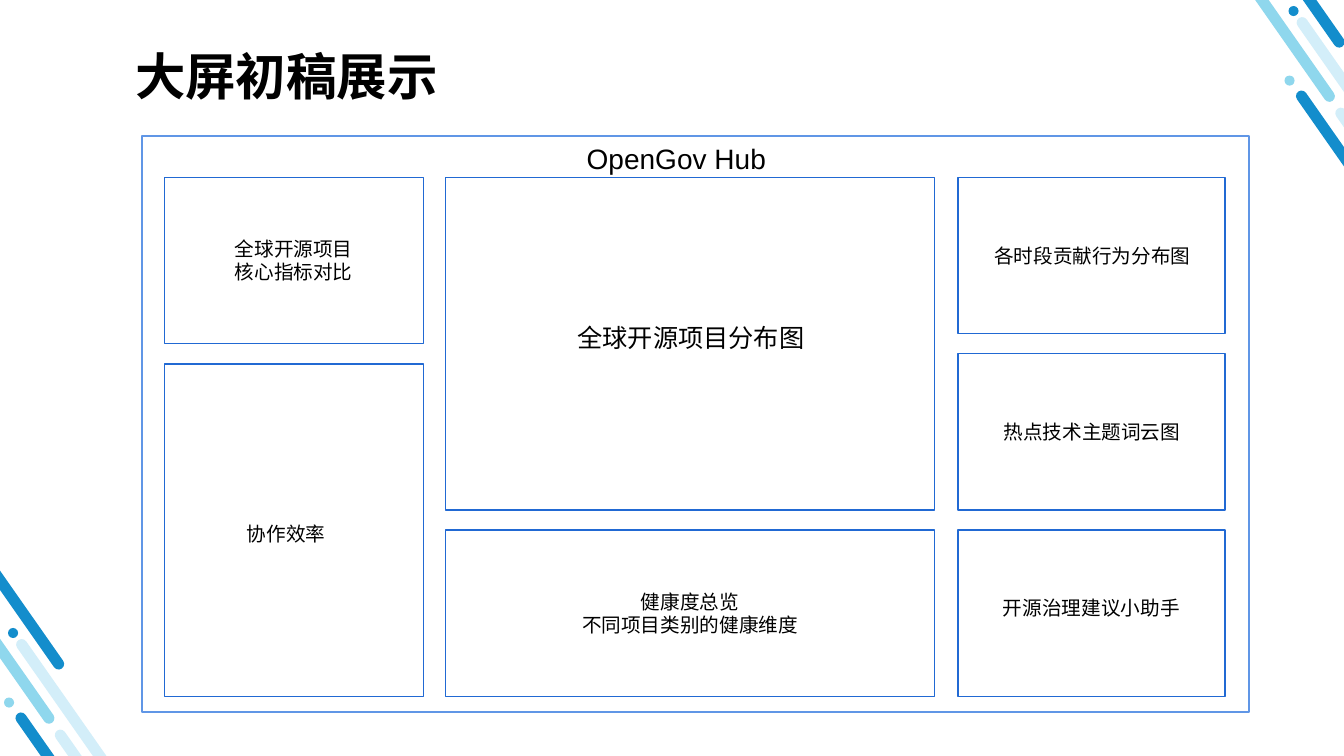
from pptx import Presentation
from pptx.dml.color import RGBColor
from pptx.enum.shapes import MSO_SHAPE
from pptx.enum.text import MSO_ANCHOR, PP_ALIGN
from pptx.util import Inches, Pt

COLORS = {
    "text": "000000",
    "frame": "6096E6",
    "panel": "2169D3",
    "blue": "138DCC",
    "sky": "8FD7ED",
    "pale": "D3EEF9",
}
FONT = "Arial"
LEFT, CENTER = PP_ALIGN.LEFT, PP_ALIGN.CENTER

TITLE = ("大屏初稿展示", (1.34, 0.38, 11.99, 0.67))
FRAME = (1.41, 1.35, 10.98, 5.71)
PANELS_TOP = 1.76
PANEL_GAP = 0.2
COLUMNS = [
    (1.63, 2.57, [1.65, 3.3]),
    (4.42, 4.85, [3.3, 1.65]),
    (9.5, 2.65, [1.55, 1.55, 1.65]),
]
LABELS = [
    ("OpenGov Hub", (5.72, 1.35, 4.15, 0.44), 20, LEFT),
    ("全球开源项目\n核心指标对比", (2.23, 2.3, 1.42, 0.57), 14, LEFT),
    ("协作效率", (2.35, 5.13, 2.24, 0.34), 14, LEFT),
    ("全球开源项目分布图", (5.63, 3.15, 2.96, 0.71), 18, LEFT),
    ("健康度总览\n不同项目类别的健康维度", (5.57, 5.8, 2.55, 0.57), 14, CENTER),
    ("各时段贡献行为分布图", (9.72, 2.37, 2.23, 0.34), 14, CENTER),
    ("热点技术主题词云图", (9.79, 4.12, 2.08, 0.34), 14, CENTER),
    ("开源治理建议小助手", (9.71, 5.86, 2.23, 0.34), 14, CENTER),
]

STRIPE_WIDTH, STRIPE_ANGLE, DOT_SIZE = 0.11, 325, 0.1
STRIPES = [
    (13.45, 0.71, 2.19, "blue"),
    (13.84, 0.88, 2.19, "pale"),
    (12.37, -1.51, 2.76, "sky"),
    (13.62, -0.07, 2.76, "pale"),
    (12.63, -1.53, 2.19, "blue"),
]
DOTS = [(12.74, 0.75, "sky"), (12.78, 0.06, "blue")]
CORNER_OFFSETS = [(0, 0), (-12.7, 6.17)]


def add_block(slide, kind, box, fill=None, line=None, line_width=1):
    shape = slide.shapes.add_shape(kind, *map(Inches, box))
    shape.shadow.inherit = False
    if fill:
        shape.fill.solid()
        shape.fill.fore_color.rgb = RGBColor.from_string(COLORS[fill])
    else:
        shape.fill.background()
    if line:
        shape.line.color.rgb = RGBColor.from_string(COLORS[line])
        shape.line.width = Pt(line_width)
    else:
        shape.line.fill.background()
    return shape


def add_label(slide, text, box, size, alignment, bold=False):
    text_frame = slide.shapes.add_textbox(*map(Inches, box)).text_frame
    text_frame.word_wrap = True
    text_frame.vertical_anchor = MSO_ANCHOR.TOP
    text_frame.text = text
    for paragraph in text_frame.paragraphs:
        paragraph.alignment = alignment
        for run in paragraph.runs:
            run.font.name = FONT
            run.font.size = Pt(size)
            run.font.bold = bold
            run.font.color.rgb = RGBColor.from_string(COLORS["text"])
    return text_frame


def add_corner(slide, offset_x, offset_y):
    for left, top, length, color in STRIPES:
        box = (left + offset_x, top + offset_y, STRIPE_WIDTH, length)
        stripe = add_block(slide, MSO_SHAPE.ROUNDED_RECTANGLE, box, fill=color)
        stripe.adjustments[0] = 0.5
        stripe.rotation = STRIPE_ANGLE
    for left, top, color in DOTS:
        box = (left + offset_x, top + offset_y, DOT_SIZE, DOT_SIZE)
        add_block(slide, MSO_SHAPE.OVAL, box, fill=color)


def main():
    presentation = Presentation()
    presentation.slide_width = Inches(13.33)
    presentation.slide_height = Inches(7.5)
    slide = presentation.slides.add_slide(presentation.slide_layouts[6])

    title_frame = add_label(slide, *TITLE, 36, LEFT, bold=True)
    title_frame.margin_left = title_frame.margin_right = 0
    title_frame.margin_top = title_frame.margin_bottom = 0
    title_frame.paragraphs[0].line_spacing = 1.11

    for offset in CORNER_OFFSETS:
        add_corner(slide, *offset)

    add_block(slide, MSO_SHAPE.RECTANGLE, FRAME, line="frame", line_width=1.5)
    for left, width, heights in COLUMNS:
        top = PANELS_TOP
        for height in heights:
            add_block(slide, MSO_SHAPE.RECTANGLE, (left, top, width, height), line="panel")
            top += height + PANEL_GAP

    for label in LABELS:
        add_label(slide, *label)

    presentation.save("out.pptx")


if __name__ == "__main__":
    main()
